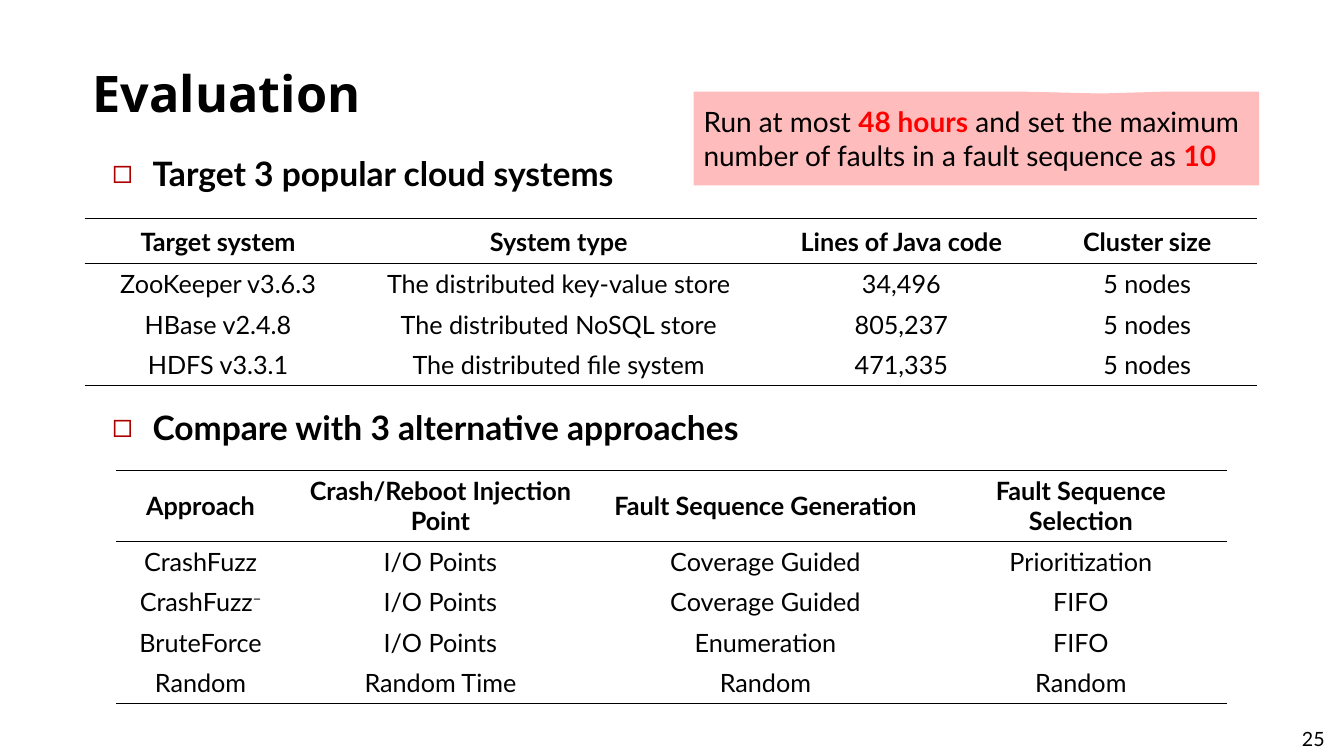
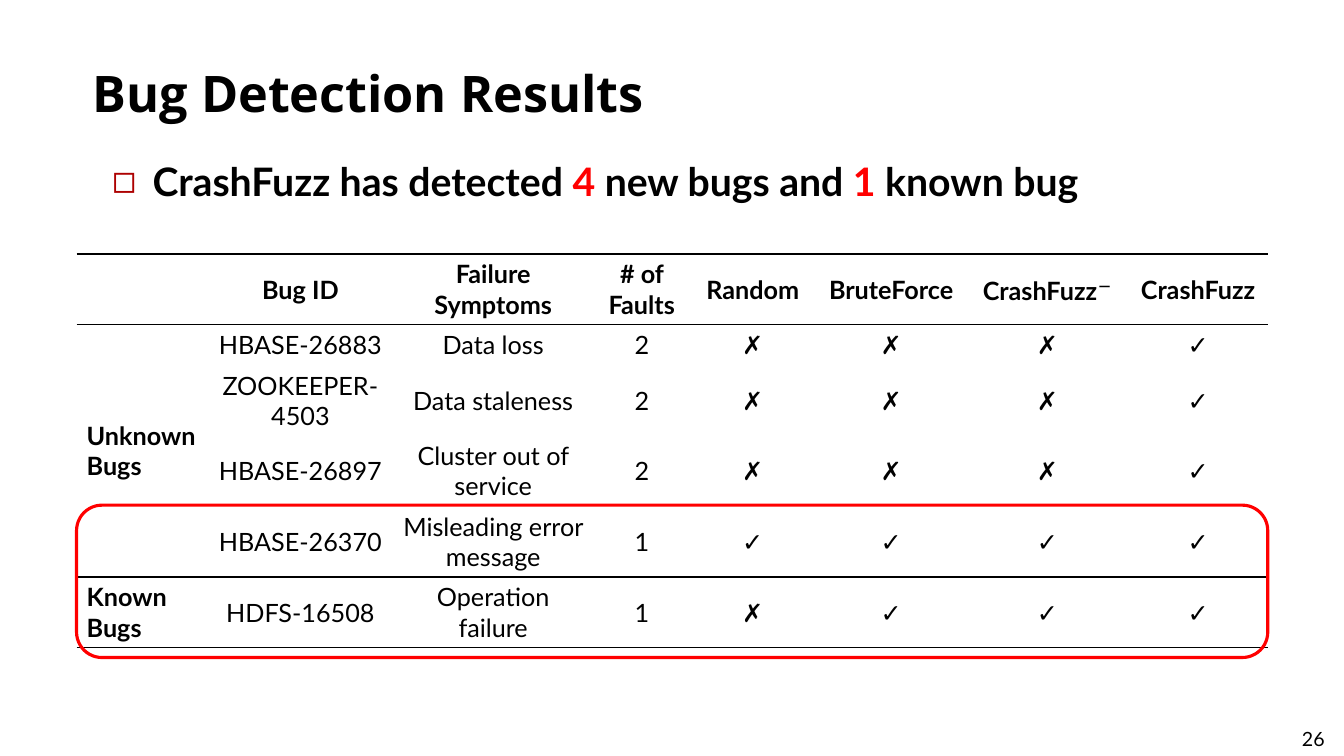
from lxml.etree import SubElement
from pptx import Presentation
from pptx.dml.color import RGBColor
from pptx.enum.shapes import MSO_SHAPE
from pptx.enum.text import MSO_ANCHOR, MSO_AUTO_SIZE, PP_ALIGN
from pptx.oxml.ns import qn
from pptx.util import Cm, Pt

BLACK, RED, PINK, BULLET_RED = "000000", "FF0000", "FFBCBC", "AD0101"
BODY_FONT, TITLE_FONT = "Lato", "Open Sans"
TITLE_BOX = (2.08, 0.86, 30.07, 2.36)
PAGE_BOX = (32.56, 18.19, 1.22, 0.86)
PLAIN_STYLE = "{2D5ABB26-0587-4C30-8999-92F81FD0307C}"
ROW, TALL_ROW = 1.02, 1.78
HIT, MISS = "✓", "✗"


def rgb(value):
    return RGBColor.from_string(value)


def lengths(box):
    return [Cm(value) for value in box]


def place(shape, box):
    shape.left, shape.top, shape.width, shape.height = lengths(box)


def add_runs(paragraph, content, size, bold=False, font=BODY_FONT):
    pieces = [(content, {})] if isinstance(content, str) else content
    for words, style in pieces:
        run = paragraph.add_run()
        run.text = words
        run.font.name = font
        run.font.size = Pt(size)
        run.font.bold = style.get("bold", bold)
        run.font.color.rgb = rgb(style.get("color", BLACK))
        if style.get("raised"):
            run._r.get_or_add_rPr().set("baseline", "30000")


def add_page(deck, layout, title, number):
    slide = deck.slides.add_slide(deck.slide_layouts.get_by_name(layout))
    heading = slide.shapes.title
    place(heading, TITLE_BOX)
    frame = heading.text_frame
    frame.vertical_anchor = MSO_ANCHOR.BOTTOM
    frame.auto_size = MSO_AUTO_SIZE.NONE
    paragraph = frame.paragraphs[0]
    paragraph.alignment = PP_ALIGN.LEFT
    paragraph.line_spacing = Pt(46.7)
    add_runs(paragraph, title, 36, bold=True, font=TITLE_FONT)

    page_number = slide.shapes.add_textbox(*lengths(PAGE_BOX)).text_frame
    page_number.word_wrap = True
    add_runs(page_number.paragraphs[0], str(number), 14)
    return slide


def fill_bullet(placeholder, box, content, size):
    place(placeholder, box)
    frame = placeholder.text_frame
    frame.auto_size = MSO_AUTO_SIZE.NONE
    paragraph = frame.paragraphs[0]
    paragraph.space_before = Pt(0)
    props = paragraph._p.get_or_add_pPr()
    props.set("marL", str(Cm(1.02)))
    props.set("indent", str(-Cm(1.02)))
    color = SubElement(props, qn("a:buClr"))
    SubElement(color, qn("a:srgbClr"), val=BULLET_RED)
    SubElement(props, qn("a:buChar"), char="◻")
    add_runs(paragraph, content, size, bold=True)


def set_borders(cell, top, bottom):
    props = cell._tc.get_or_add_tcPr()
    sides = {"a:lnL": False, "a:lnR": False, "a:lnT": top, "a:lnB": bottom}
    for side, ruled in sides.items():
        line = SubElement(props, qn(side), w=str(Pt(1) if ruled else 0))
        if ruled:
            solid = SubElement(line, qn("a:solidFill"))
            SubElement(solid, qn("a:srgbClr"), val=BLACK)
        else:
            SubElement(line, qn("a:noFill"))


def add_ruled_table(slide, corner, widths, heights, rows, group_rules=(),
                    row_labels=False):
    box = (*corner, sum(widths), sum(heights))
    graphic = slide.shapes.add_table(len(rows), len(widths), *lengths(box))
    table = graphic.table
    table.first_row = table.horz_banding = False
    table._tbl.tblPr.find(qn("a:tableStyleId")).text = PLAIN_STYLE
    for column, width in zip(table.columns, widths):
        column.width = Cm(width)
    for row, height in zip(table.rows, heights):
        row.height = Cm(height)
    rules = {0, 1, len(rows), *group_rules}
    for r, contents in enumerate(rows):
        for c, content in enumerate(contents):
            cell = table.cell(r, c)
            set_borders(cell, r in rules, r + 1 in rules)
            cell.fill.background()
            cell.vertical_anchor = MSO_ANCHOR.MIDDLE
            if content:
                label = row_labels and c == 0
                paragraph = cell.text_frame.paragraphs[0]
                paragraph.alignment = PP_ALIGN.LEFT if label else PP_ALIGN.CENTER
                add_runs(paragraph, content, 18, bold=r == 0 or label)
    return table


def add_callout(slide, box, content):
    callout = slide.shapes.add_shape(MSO_SHAPE.RECTANGULAR_CALLOUT, *lengths(box))
    callout.shadow.inherit = False
    callout.adjustments[0] = 0.22
    callout.adjustments[1] = -0.48
    callout.fill.solid()
    callout.fill.fore_color.rgb = rgb(PINK)
    callout.line.fill.background()
    frame = callout.text_frame
    frame.word_wrap = True
    frame.vertical_anchor = MSO_ANCHOR.MIDDLE
    frame.paragraphs[0].alignment = PP_ALIGN.LEFT
    add_runs(frame.paragraphs[0], content, 20)


def add_highlight(slide, box):
    highlight = slide.shapes.add_shape(MSO_SHAPE.ROUNDED_RECTANGLE, *lengths(box))
    highlight.shadow.inherit = False
    highlight.fill.background()
    highlight.line.color.rgb = rgb(RED)
    highlight.line.width = Pt(2.25)


def build_evaluation(deck):
    slide = add_page(deck, "Two Content", "Evaluation", 25)
    targets, approaches = list(slide.placeholders)[1:3]
    fill_bullet(targets, (2.57, 3.73, 28.73, 6.25),
                "Target 3 popular cloud systems", 24)
    add_ruled_table(
        slide, (2.13, 5.51), (6.73, 10.44, 6.83, 5.56), [1.14] + [ROW] * 3,
        [
            ("Target system", "System type", "Lines of Java code", "Cluster size"),
            ("ZooKeeper v3.6.3", "The distributed key-value store", "34,496", "5 nodes"),
            ("HBase v2.4.8", "The distributed NoSQL store", "805,237", "5 nodes"),
            ("HDFS v3.3.1", "The distributed file system", "471,335", "5 nodes"),
        ])
    fill_bullet(approaches, (2.57, 10.13, 28.73, 2.87),
                "Compare with 3 alternative approaches", 24)
    crashfuzz_minus = [("CrashFuzz", {}), ("−", {"raised": True})]
    add_ruled_table(
        slide, (2.92, 11.86), (4.27, 7.82, 8.56, 7.34), [TALL_ROW] + [ROW] * 4,
        [
            ("Approach", "Crash/Reboot Injection Point",
             "Fault Sequence Generation", "Fault Sequence Selection"),
            ("CrashFuzz", "I/O Points", "Coverage Guided", "Prioritization"),
            (crashfuzz_minus, "I/O Points", "Coverage Guided", "FIFO"),
            ("BruteForce", "I/O Points", "Enumeration", "FIFO"),
            ("Random", "Random Time", "Random", "Random"),
        ])
    emphasis = {"color": RED, "bold": True}
    add_callout(slide, (17.48, 2.31, 14.25, 2.36), [
        ("Run at most ", {}),
        ("48 hours", emphasis),
        (" and set the maximum number of faults in a fault sequence as ", {}),
        ("10", emphasis),
    ])


def build_bug_results(deck):
    slide = add_page(deck, "Title and Content", "Bug Detection Results", 26)
    fill_bullet(slide.placeholders[1], (2.57, 3.84, 28.73, 1.63), [
        ("CrashFuzz has detected ", {}),
        ("4 ", {"color": RED}),
        ("new bugs and ", {}),
        ("1", {"color": RED}),
        (" known bug", {}),
    ], 28)
    crashfuzz_minus = [("CrashFuzz", {}), ("－", {"raised": True})]
    bugs = add_ruled_table(
        slide, (1.93, 6.4), (3.33, 4.62, 5.1, 2.39, 3.2, 3.78, 4.09, 3.51),
        [TALL_ROW, ROW] + [TALL_ROW] * 4,
        [
            ("", "Bug ID", "Failure Symptoms", "# of Faults", "Random",
             "BruteForce", crashfuzz_minus, "CrashFuzz"),
            ("Unknown Bugs", "HBASE-26883", "Data loss", "2", MISS, MISS, MISS, HIT),
            ("", "ZOOKEEPER-4503", "Data staleness", "2", MISS, MISS, MISS, HIT),
            ("", "HBASE-26897", "Cluster out of service", "2", MISS, MISS, MISS, HIT),
            ("", "HBASE-26370", "Misleading error message", "1", HIT, HIT, HIT, HIT),
            ("Known Bugs", "HDFS-16508", "Operation failure", "1", MISS, HIT, HIT, HIT),
        ],
        group_rules=(5,), row_labels=True)
    bugs.cell(1, 0).merge(bugs.cell(4, 0))
    add_highlight(slide, (1.93, 12.73, 30.02, 3.84))


def main():
    deck = Presentation()
    deck.slide_width, deck.slide_height = Cm(33.87), Cm(19.05)
    build_evaluation(deck)
    build_bug_results(deck)
    deck.save("out.pptx")


if __name__ == "__main__":
    main()
